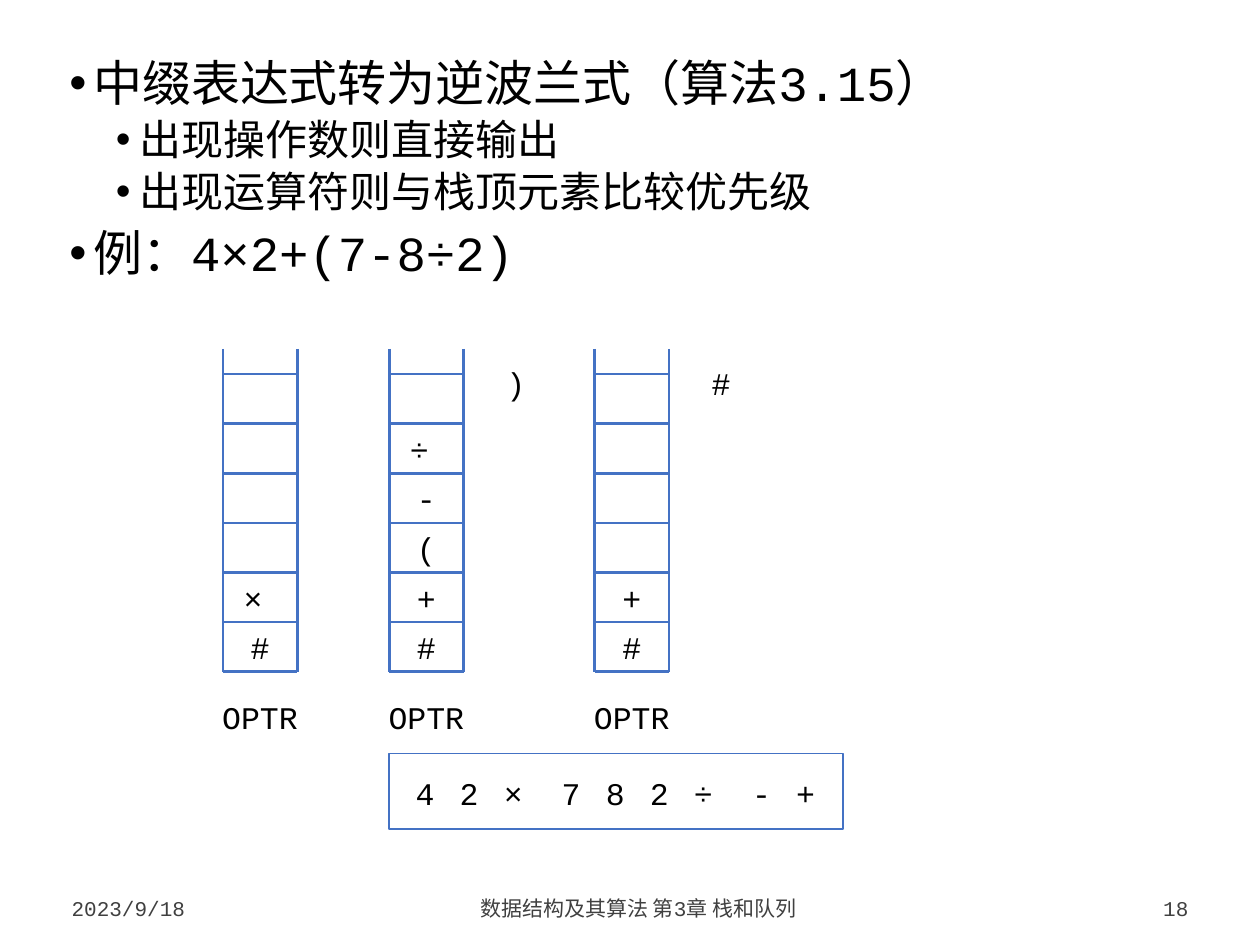
from lxml.etree import SubElement
from pptx import Presentation
from pptx.dml.color import RGBColor
from pptx.enum.shapes import MSO_CONNECTOR as CONN, MSO_SHAPE as SHAPE
from pptx.enum.text import MSO_ANCHOR as ANCHOR, MSO_AUTO_SIZE as AUTO, PP_ALIGN as ALIGN
from pptx.oxml.ns import qn
from pptx.util import Inches, Pt

# Content
BULLETS = [
    (0, "中缀表达式转为逆波兰式（算法3.15）"),
    (1, "出现操作数则直接输出"),
    (1, "出现运算符则与栈顶元素比较优先级"),
    (0, "例：4×2+(7-8÷2)"),
]
# left edge, symbols from the bottom up, incoming operator
STACKS = [
    (1.77, "#×", ""),
    (3.09, "#+(-÷", ")"),
    (4.72, "#+", "#"),
]
OUTPUT = "42×782÷-+"
FOOTER = [
    (0.47, 1.32, "2023/9/18", ALIGN.LEFT),
    (1.91, 6.31, "数据结构及其算法 第3章 栈和队列", ALIGN.CENTER),
    (8.35, 1.18, "18", ALIGN.RIGHT),
]

# Format and geometry
FONT, BLACK, GREY, BLUE = "Courier New", "000000", "404040", "4472C4"
LEVELS = [
    {"size": 28, "before": 7.5, "margin": 0.19},
    {"size": 24, "before": 3.8, "margin": 0.56},
]
TOP, BOTTOM, STACK_W, CELLS = 2.77, 5.33, 0.59, 6
CELL_H = 2.36 / CELLS
TEXT_H = 0.4


def rgb(value):
    return RGBColor.from_string(value)


def set_font(p, size, color=BLACK):
    for name, value in {"name": FONT, "size": Pt(size)}.items():
        setattr(p.runs[0].font, name, value)
    p.runs[0].font.color.rgb = rgb(color)


def add_label(text, x, y, w):
    tf = s.shapes.add_textbox(Inches(x), Inches(y), Inches(w), Inches(TEXT_H)).text_frame
    tf.word_wrap, tf.auto_size = False, AUTO.SHAPE_TO_FIT_TEXT
    tf.text = text
    set_font(tf.paragraphs[0], 18)


def symbol_width(symbol):
    return 0.46 if symbol in "×÷" else 0.35


def add_line(shapes, *ends):
    line = shapes.add_connector(CONN.STRAIGHT, *map(Inches, ends))
    line.line.color.rgb = rgb(BLUE)
    line.line.width = Pt(1.5)
    SubElement(line._element.spPr, qn("a:effectLst"))


prs = Presentation()
prs.slide_width, prs.slide_height = Inches(10), Inches(7.5)
s = prs.slides.add_slide(prs.slide_layouts[1])
title, body = s.placeholders
title._element.getparent().remove(title._element)

# Bulleted list
body.left, body.top, body.width, body.height = map(Inches, (0.47, 0.39, 9.06, 6.42))
tf = body.text_frame
for side in ("left", "top", "right", "bottom"):
    setattr(tf, f"margin_{side}", Inches(0.08))
tf.auto_size, tf.vertical_anchor = AUTO.NONE, ANCHOR.TOP
for i, (level, text) in enumerate(BULLETS):
    fmt = LEVELS[level]
    p = tf.add_paragraph() if i else tf.paragraphs[0]
    p.text, p.level, p.line_spacing = text, level, 0.9
    p.space_before = Pt(fmt["before"] if i else 0)
    pPr = p._p.get_or_add_pPr()
    pPr.set("marL", str(Inches(fmt["margin"])))
    pPr.set("indent", str(Inches(-0.19)))
    SubElement(pPr, qn("a:buFont"), typeface="Arial")
    SubElement(pPr, qn("a:buChar"), char="•")
    set_font(p, fmt["size"])

# Footer
for x, w, text, align in FOOTER:
    tf = s.shapes.add_textbox(Inches(x), Inches(6.97), Inches(w), Inches(0.39)).text_frame
    tf.word_wrap, tf.vertical_anchor = True, ANCHOR.BOTTOM
    tf.text = text
    tf.paragraphs[0].alignment = align
    set_font(tf.paragraphs[0], 12, GREY)

# Operator stacks
for x, symbols, incoming in STACKS:
    right, middle = x + STACK_W, x + STACK_W / 2
    frame = s.shapes.add_group_shape().shapes
    for side in (x, right):
        add_line(frame, side, TOP, side, BOTTOM)
    for i in range(CELLS + 1):
        y = BOTTOM - i * CELL_H
        add_line(frame, x, y, right, y)
    for i, symbol in enumerate(symbols, 1):
        w = symbol_width(symbol)
        add_label(symbol, middle - w / 2, BOTTOM - i * CELL_H, w)
    add_label("OPTR", middle - 0.4, 5.49, 0.81)
    if incoming:
        add_label(incoming, x + 0.83, 2.84, symbol_width(incoming))

# Output row
x = 3.2
for symbol in OUTPUT:
    add_label(symbol, x, 6.09, symbol_width(symbol))
    x += symbol_width(symbol)
box = s.shapes.add_shape(SHAPE.RECTANGLE, *map(Inches, (3.09, 5.98, 3.6, 0.6)))
box.shadow.inherit = False
box.fill.background()
box.line.color.rgb = rgb(BLUE)
box.line.width = Pt(1)

prs.save("out.pptx")
